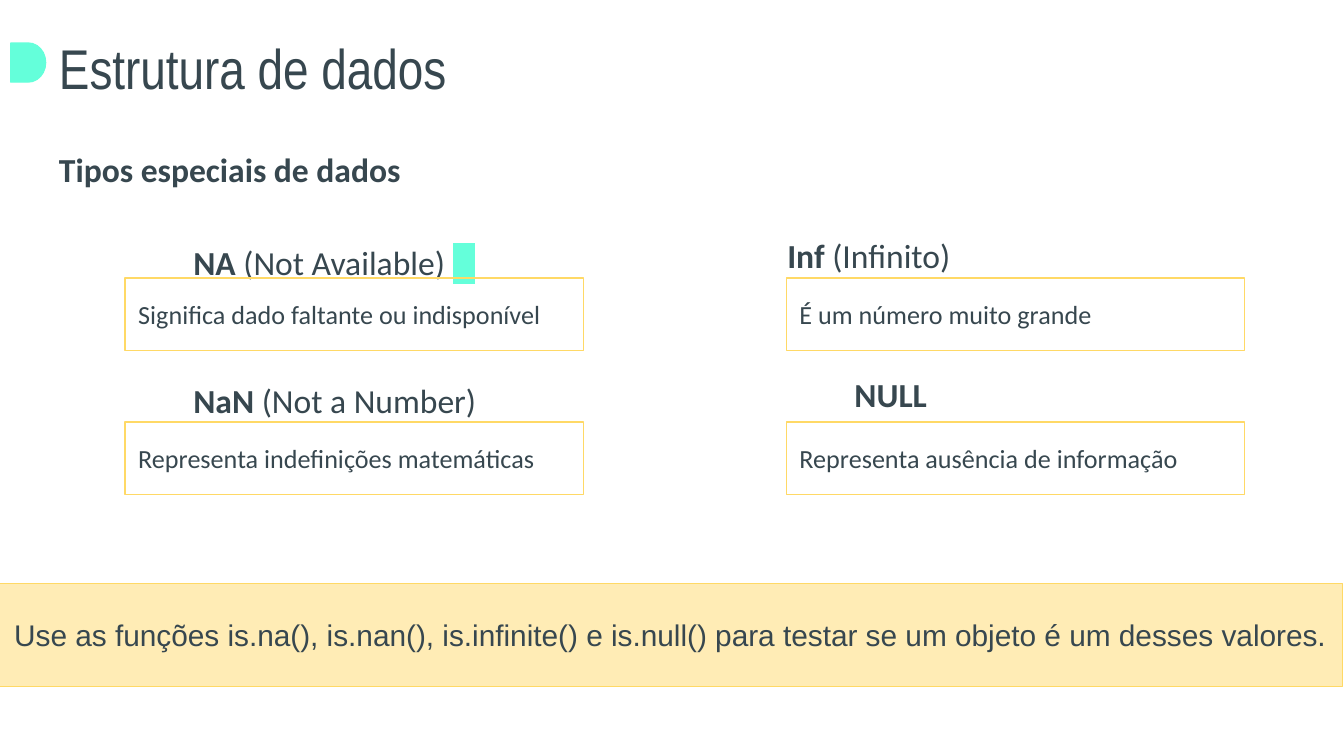
"""Builds the slide on special data types: NA, NaN, Inf and NULL."""
from lxml import etree
from pptx import Presentation
from pptx.dml.color import RGBColor
from pptx.enum import shapes, text
from pptx.oxml import ns
from pptx.util import Inches, Pt

TEAL, YELLOW, SLATE = "64FFDA", "FFD966", "37474F"

deck = Presentation()
deck.slide_width = Inches(10)
deck.slide_height = deck.slide_width * 9 // 16
slide = deck.slides.add_slide(deck.slide_layouts[6])


def write(paragraph, parts, size, font="Calibri"):
    """Add (words, bold) runs to a paragraph."""
    for words, bold in parts:
        run = paragraph.add_run()
        run.text = words
        run.font.name, run.font.size, run.font.bold = font, Pt(size), bold
        run.font.color.rgb = RGBColor.from_string(SLATE)
    return run


def block(kind, left, top, width, height, fill=None):
    """Draw a preset shape, outlined in its fill colour or in yellow."""
    drawn = slide.shapes.add_shape(
        kind, Inches(left), Inches(top), Inches(width), Inches(height))
    drawn.shadow.inherit = False
    if fill:
        drawn.fill.solid()
        drawn.fill.fore_color.rgb = RGBColor.from_string(fill)
    else:
        drawn.fill.background()
    drawn.line.color.rgb = RGBColor.from_string(fill or YELLOW)
    drawn.line.width = Pt(0.75)
    frame = drawn.text_frame
    frame.word_wrap = True
    frame.vertical_anchor = text.MSO_ANCHOR.MIDDLE
    frame.margin_top = frame.margin_bottom = Inches(0.1)
    return drawn


block(shapes.MSO_SHAPE.FLOWCHART_DELAY, 0.08, 0.32, 0.26, 0.29, TEAL)

mark = ("   ", True)
columns = [
    (0.34, 0.63, 9.32, 5.05, 0.48, [
        (0, 0, [("Tipos especiais de dados", True)]),
        (1, 28, [("NA", True), (" (Not Available) ", False), mark]),
        (1, 52.5, [("NaN ", True), ("(Not a Number)", False)])]),
    (5.26, 0.74, 4.66, 4.19, 1.01, [
        (0.5, 0, [("Inf ", True), ("(Infinito)", False)]),
        (1, 52.5, [("NULL", True)])]),
]
for left, top, width, height, inset, lines in columns:
    body = slide.shapes.add_textbox(
        Inches(left), Inches(top), Inches(width), Inches(height)).text_frame
    body.word_wrap = True
    body.margin_top = Inches(inset)
    for number, (indent, gap, parts) in enumerate(lines):
        line = body.add_paragraph() if number else body.paragraphs[0]
        line.space_before = Pt(gap)
        line._p.get_or_add_pPr().set("marL", str(Inches(indent)))
        last = write(line, parts, 18)
        if parts[-1] is mark:
            highlight = etree.Element(ns.qn("a:highlight"))
            etree.SubElement(highlight, ns.qn("a:srgbClr"), val=TEAL)
            last.font._element.find(ns.qn("a:solidFill")).addnext(highlight)

title = slide.shapes.add_textbox(
    Inches(0.34), Inches(0.15), Inches(9.32), Inches(0.63)).text_frame
title.word_wrap = True
title.margin_top = title.margin_bottom = Inches(0.1)
write(title.paragraphs[0], [("Estrutura de dados", False)], 30, "Arial Narrow")

meanings = [
    ["Significa dado faltante ou indisponível", "É um número muito grande"],
    ["Representa indefinições matemáticas", "Representa ausência de informação"],
]
for row, pair in enumerate(meanings):
    for column, meaning in enumerate(pair):
        box = block(shapes.MSO_SHAPE.RECTANGLE, 0.93 + column * 4.92,
                    2.07 + row * 1.07, 3.41, 0.54)
        definition = box.text_frame.paragraphs[0]
        definition.alignment = text.PP_ALIGN.LEFT
        write(definition, [(meaning, False)], 14)

tip = block(shapes.MSO_SHAPE.RECTANGLE, -0.01, 4.34, 10, 0.77, YELLOW)
tint = tip.fill._xPr.find(ns.qn("a:solidFill"))[0]
etree.SubElement(tint, ns.qn("a:alpha"), val="48000")
advice = tip.text_frame.paragraphs[0]
advice.alignment = text.PP_ALIGN.CENTER
write(advice, [("Use as funções is.na(), is.nan(), is.infinite() e is.null() "
                "para testar se um objeto é um desses valores.", False)], 16, "Arial")

deck.save("out.pptx")
